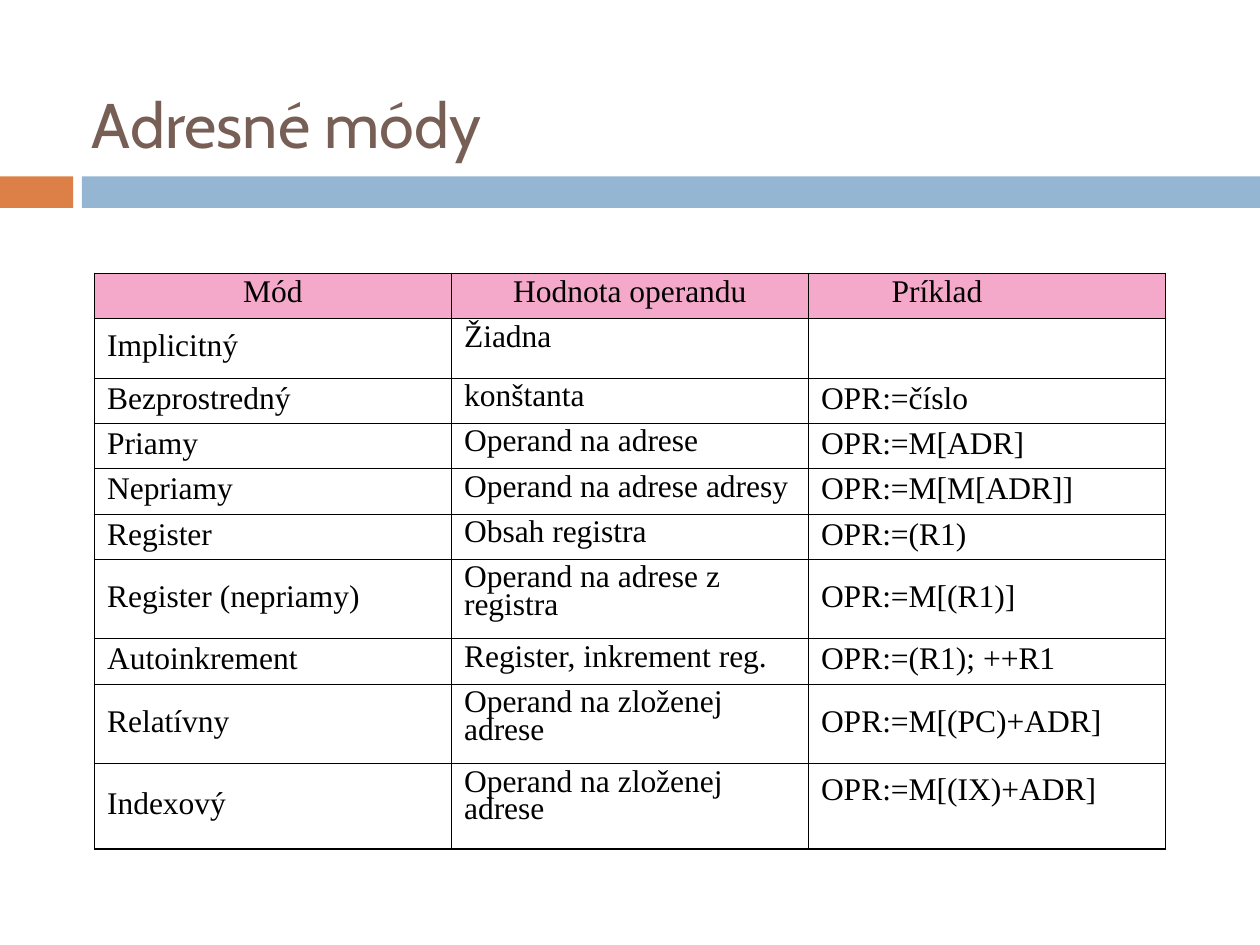
from lxml import etree
from pptx import Presentation
from pptx import util as u
from pptx.dml.color import RGBColor
from pptx.enum import shapes, text
from pptx.oxml.ns import qn

COLORS = {"title": "775F55", "accent": "DD8047", "band": "94B6D2",
          "header": "F5A9CA", "ink": "000000"}
COLUMNS, ROWS = 100, 75
THIN, THICK = 0.45, 1.08

HEADER = ("Mód", "Hodnota operandu", "Príklad")
MODES = [
    ("Implicitný", "Žiadna", ""),
    ("Bezprostredný", "konštanta", "OPR:=číslo"),
    ("Priamy", "Operand na adrese", "OPR:=M[ADR]"),
    ("Nepriamy", "Operand na adrese adresy", "OPR:=M[M[ADR]]"),
    ("Register", "Obsah registra", "OPR:=(R1)"),
    ("Register (nepriamy)", "Operand na adrese z registra", "OPR:=M[(R1)]"),
    ("Autoinkrement", "Register, inkrement reg.", "OPR:=(R1); ++R1"),
    ("Relatívny", "Operand na zloženej adrese", "OPR:=M[(PC)+ADR]"),
    ("Indexový", "Operand na zloženej adrese", "OPR:=M[(IX)+ADR]"),
]
ROW_HEIGHTS = [3.6, 4.7, 3.6, 3.6, 3.6, 3.6, 6.3, 3.6, 6.3, 6.8]


def set_all(target, values):
    for name, value in values.items():
        setattr(target, name, value)


class SlideBuilder:
    title_font = {"name": "Cabin", "size": u.Pt(36)}
    table_font = {"name": "Times New Roman", "size": u.Pt(18)}

    def __init__(self, presentation):
        self.column = presentation.slide_width / COLUMNS
        self.row = presentation.slide_height / ROWS
        self.slide = presentation.slides.add_slide(presentation.slide_layouts[5])

    def box(self, left, top, width, height):
        """Turn grid columns and rows into slide lengths."""
        return (int(left * self.column), int(top * self.row),
                int(width * self.column), int(height * self.row))

    def color(self, name):
        return RGBColor.from_string(COLORS[name])

    def format_text(self, paragraph, font, color, **values):
        set_all(paragraph, values)
        set_all(paragraph.font, font)
        paragraph.font.color.rgb = self.color(color)

    def bar(self, color, *place):
        shape = self.slide.shapes.add_shape(
            shapes.MSO_SHAPE.RECTANGLE, *self.box(*place))
        shape.shadow.inherit = False
        shape.fill.solid()
        shape.fill.fore_color.rgb = self.color(color)
        shape.line.fill.background()

    def title(self, words, *place):
        shape = self.slide.shapes.title
        set_all(shape, dict(zip(("left", "top", "width", "height"), self.box(*place))))
        frame = shape.text_frame
        frame.text = words
        set_all(frame, {"word_wrap": True, "auto_size": text.MSO_AUTO_SIZE.NONE,
                        "vertical_anchor": text.MSO_ANCHOR.MIDDLE})
        self.format_text(frame.paragraphs[0], self.title_font, "title",
                         alignment=text.PP_ALIGN.LEFT)

    def borders(self, cell, widths):
        properties = cell._tc.get_or_add_tcPr()
        for index, (side, width) in enumerate(widths.items()):
            line = etree.Element(qn(f"a:ln{side}"), w=str(u.Pt(width)))
            fill = etree.SubElement(line, qn("a:solidFill"))
            etree.SubElement(fill, qn("a:srgbClr"), val=COLORS["ink"])
            properties.insert(index, line)

    def table(self, rows, heights, left, top, width):
        last_row, last_column = len(rows) - 1, len(rows[0]) - 1
        table = self.slide.shapes.add_table(
            len(rows), len(rows[0]),
            *self.box(left, top, width, sum(heights))).table
        set_all(table, {"first_row": False, "horz_banding": False})
        for row, height in zip(table.rows, heights):
            row.height = int(height * self.row)
        for r, row in enumerate(rows):
            for c, words in enumerate(row):
                cell = table.cell(r, c)
                cell.text = words
                if r == 0:
                    cell.fill.solid()
                    cell.fill.fore_color.rgb = self.color("header")
                else:
                    cell.fill.background()
                centred = r == 0 and c < last_column
                self.format_text(
                    cell.text_frame.paragraphs[0], self.table_font, "ink",
                    line_spacing=0.8,
                    alignment=text.PP_ALIGN.CENTER if centred else text.PP_ALIGN.LEFT)
                top_aligned = r == 0 or c == 1
                cell.vertical_anchor = (text.MSO_ANCHOR.TOP if top_aligned
                                        else text.MSO_ANCHOR.MIDDLE)
                self.borders(cell, {"L": THIN if c else THICK,
                                    "R": THICK if c == last_column else THIN,
                                    "T": THIN if r else THICK,
                                    "B": THICK if r == last_row else THIN})
        table.cell(0, last_column).margin_left = u.Inches(0.66)
        table.cell(last_row, last_column).margin_bottom = u.Inches(0.28)


def main():
    presentation = Presentation()
    presentation.slide_width, presentation.slide_height = u.Inches(10), u.Inches(7.5)
    builder = SlideBuilder(presentation)
    builder.bar("accent", 0, 14, 5.8, 2.5)
    builder.bar("band", 6.5, 14, 93.5, 2.5)
    builder.title("Adresné módy", 6.3, 3.5, 85, 12.5)
    builder.table([HEADER, *MODES], ROW_HEIGHTS, 7.5, 21.7, 85)
    presentation.save("out.pptx")


if __name__ == "__main__":
    main()
